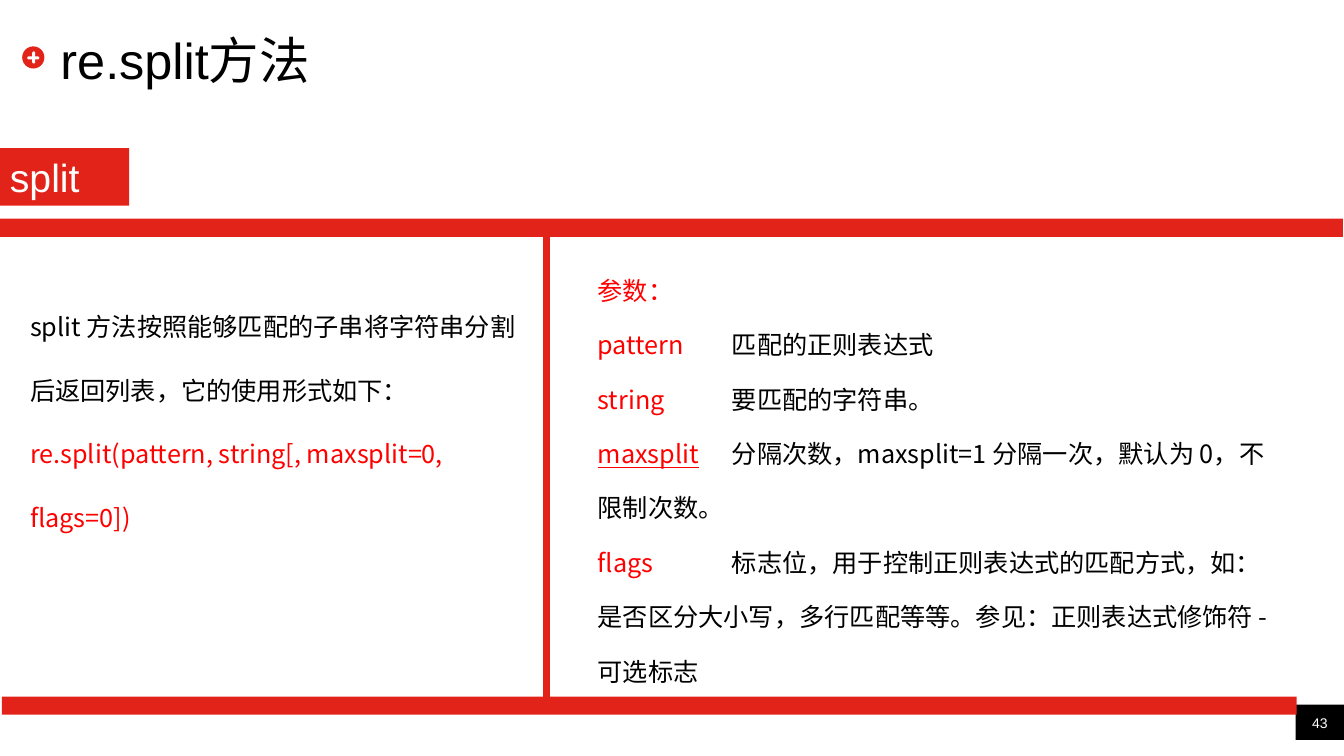
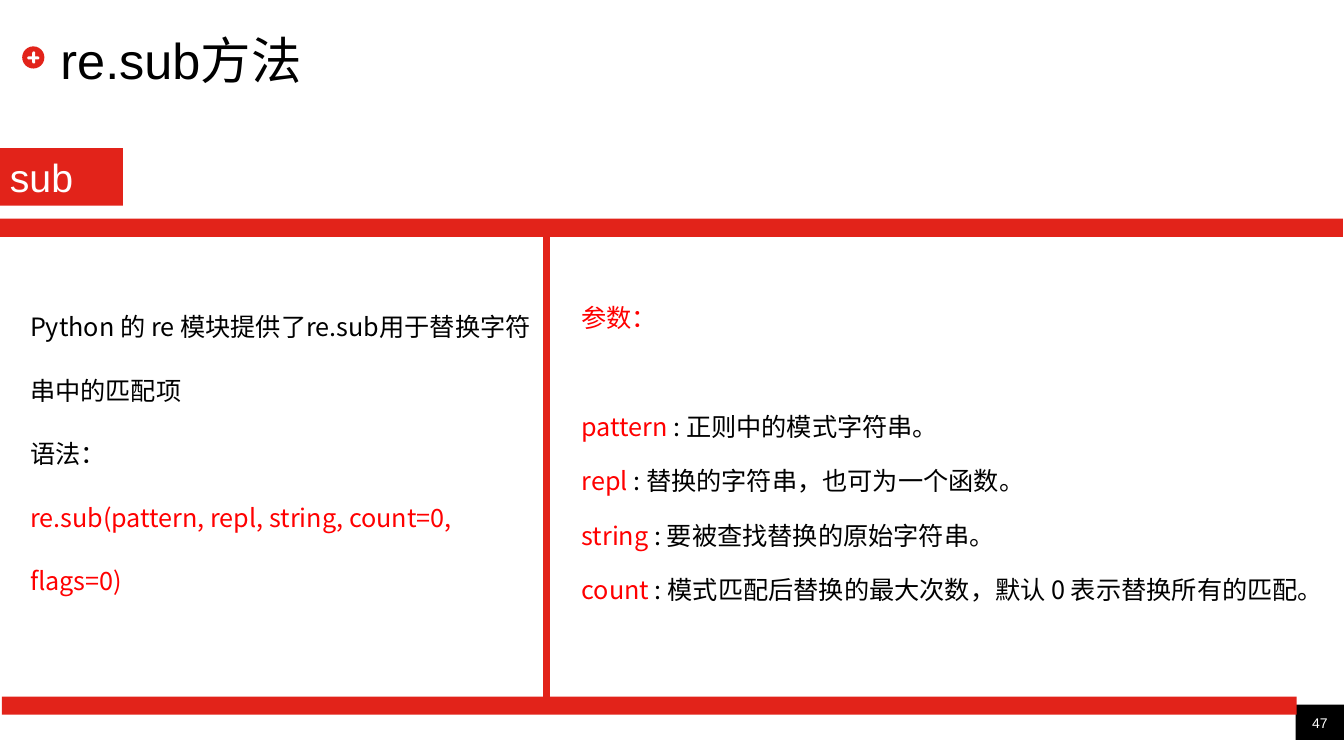
from lxml import etree
from pptx import Presentation
from pptx.dml.color import RGBColor
from pptx.enum.shapes import MSO_CONNECTOR, MSO_SHAPE
from pptx.enum.text import MSO_ANCHOR, MSO_AUTO_SIZE, PP_ALIGN
from pptx.oxml.ns import qn
from pptx.util import Inches, Pt

RECT, OVAL, ROUNDED = MSO_SHAPE.RECTANGLE, MSO_SHAPE.OVAL, MSO_SHAPE.ROUNDED_RECTANGLE
STRAIGHT = MSO_CONNECTOR.STRAIGHT
LEFT, CENTER = PP_ALIGN.LEFT, PP_ALIGN.CENTER
TOP, MIDDLE, BOTTOM = MSO_ANCHOR.TOP, MSO_ANCHOR.MIDDLE, MSO_ANCHOR.BOTTOM
NO_FIT = MSO_AUTO_SIZE.NONE

BRAND, RED, BLACK, WHITE = "E2231A", "FF0000", "000000", "FFFFFF"
SANS, CJK = "Arial", "Noto Sans CJK SC"
DIVIDER_X, BAND_TOP, BAND_H, FLOOR_TOP = 5.42, 2.17, 0.18, 6.91
TAB_STOP = 1.33
BLANK_LINE = 39

SLIDES = [
    {
        "title": "re.split方法",
        "label": "split",
        "label_width": 1.28,
        "number": "43",
        "usage": [
            [("split 方法按照能够匹配的子串将字符串分割后返回列表，它的使用形式如下：", BLACK)],
            [("re.split(pattern, string[, maxsplit=0, flags=0])", RED)],
        ],
        "usage_box": (0.2, 2.71, 5.22, 2.64),
        "params": [
            [("参数：", RED)],
            [("pattern", RED), ("\t匹配的正则表达式", BLACK)],
            [("string", RED), ("\t要匹配的字符串。", BLACK)],
            [("maxsplit", RED, True),
             ("\t分隔次数，maxsplit=1 分隔一次，默认为 0，不限制次数。", BLACK)],
            [("flags", RED),
             ("\t标志位，用于控制正则表达式的匹配方式，如：是否区分大小写，多行匹配等等。"
              "参见：正则表达式修饰符 - 可选标志", BLACK)],
        ],
        "params_box": (5.83, 2.44, 7.02, 4.46),
        "heading_gap": 0,
    },
    {
        "title": "re.sub方法",
        "label": "sub",
        "label_width": 1.22,
        "number": "47",
        "usage": [
            [("Python 的 re 模块提供了re.sub用于替换字符串中的匹配项", BLACK)],
            [("语法：", BLACK)],
            [("re.sub(pattern, repl, string, count=0, flags=0)", RED)],
        ],
        "usage_box": (0.2, 2.71, 5.22, 3.28),
        "params": [
            [("参数：", RED)],
            [("pattern ", RED), (": 正则中的模式字符串。", BLACK)],
            [("repl", RED), (" : 替换的字符串，也可为一个函数。", BLACK)],
            [("string ", RED), (": 要被查找替换的原始字符串。", BLACK)],
            [("count", RED), (" : 模式匹配后替换的最大次数，默认 0 表示替换所有的匹配。", BLACK)],
        ],
        "params_box": (5.67, 2.71, 7.54, 3.37),
        "heading_gap": BLANK_LINE,
    },
]


def rgb(value):
    return RGBColor.from_string(value)


def add_run(p, text, size, color, font, underline=False):
    r = p.add_run()
    r.text = text
    r.font.size = Pt(size)
    r.font.name = font
    r.font.color.rgb = rgb(color)
    if underline:
        r.font.underline = True
    ea = etree.SubElement(r.font._element, qn("a:ea"))
    ea.set("typeface", CJK)


def set_frame(tf, anchor, inset=None):
    tf.word_wrap = True
    tf.auto_size = NO_FIT
    tf.vertical_anchor = anchor
    if inset is not None:
        tf.margin_left = tf.margin_right = Inches(inset)
        tf.margin_top = tf.margin_bottom = Inches(inset)


def add_block(s, box, fill, kind=RECT):
    sp = s.shapes.add_shape(kind, *map(Inches, box))
    sp.shadow.inherit = False
    sp.fill.solid()
    sp.fill.fore_color.rgb = rgb(fill)
    sp.line.fill.background()
    return sp


def add_tab_stop(p):
    tabs = etree.SubElement(p._p.get_or_add_pPr(), qn("a:tabLst"))
    tab = etree.SubElement(tabs, qn("a:tab"))
    tab.set("pos", str(Inches(TAB_STOP)))
    tab.set("algn", "l")


def add_text(s, box, paragraphs, spacing, heading_gap=0):
    tf = s.shapes.add_textbox(*map(Inches, box)).text_frame
    set_frame(tf, TOP)
    for i, runs in enumerate(paragraphs):
        p = tf.paragraphs[0] if i == 0 else tf.add_paragraph()
        p.line_spacing = spacing
        if i == 1 and heading_gap:
            p.space_before = Pt(heading_gap)
        if any("\t" in run[0] for run in runs):
            add_tab_stop(p)
        for text, color, *underline in runs:
            add_run(p, text, 18, color, CJK, *underline)


def add_title(s, text):
    title = s.shapes.title
    title.left, title.top, title.width, title.height = map(Inches, (0.6, 0.3, 12.11, 0.57))
    set_frame(title.text_frame, MIDDLE, 0)
    p = title.text_frame.paragraphs[0]
    p.alignment = LEFT
    add_run(p, text, 36, BLACK, SANS)


def add_plus_icon(s):
    add_block(s, (0.22, 0.46, 0.22, 0.22), BRAND, OVAL)
    for bar in ((0.27, 0.56, 0.12, 0.03), (0.32, 0.51, 0.03, 0.12)):
        add_block(s, bar, WHITE, ROUNDED).adjustments[0] = 0.5


def add_page_number(s, number):
    add_block(s, (12.85, 6.99, 0.48, 0.35), BLACK)
    tf = s.shapes.add_textbox(*map(Inches, (12.85, 6.99, 0.48, 0.27))).text_frame
    set_frame(tf, BOTTOM, 0)
    p = tf.paragraphs[0]
    p.alignment = CENTER
    add_run(p, number, 10, WHITE, SANS)


def add_label(s, text, width):
    tf = add_block(s, (0, 1.47, width, 0.57), BRAND).text_frame
    set_frame(tf, TOP)
    p = tf.paragraphs[0]
    p.alignment = LEFT
    add_run(p, text, 28, WHITE, SANS)


def add_panel_frame(s):
    add_block(s, (0.02, FLOOR_TOP, 12.84, BAND_H), BRAND)
    divider = s.shapes.add_connector(
        STRAIGHT, *map(Inches, (DIVIDER_X, BAND_TOP + BAND_H, DIVIDER_X, FLOOR_TOP)))
    divider.line.color.rgb = rgb(BRAND)
    divider.line.width = Pt(5)
    etree.SubElement(divider._element.spPr, qn("a:effectLst"))
    add_block(s, (0, BAND_TOP, 13.32, BAND_H), BRAND)


def build_slide(prs, data):
    s = prs.slides.add_slide(prs.slide_layouts[5])
    add_page_number(s, data["number"])
    add_plus_icon(s)
    add_title(s, data["title"])
    add_panel_frame(s)
    add_label(s, data["label"], data["label_width"])
    add_text(s, data["usage_box"], data["usage"], 2.1)
    add_text(s, data["params_box"], data["params"], 1.8, data["heading_gap"])


def main():
    prs = Presentation()
    prs.slide_width, prs.slide_height = Inches(13.33), Inches(7.5)
    for data in SLIDES:
        build_slide(prs, data)
    prs.save("out.pptx")


if __name__ == "__main__":
    main()
